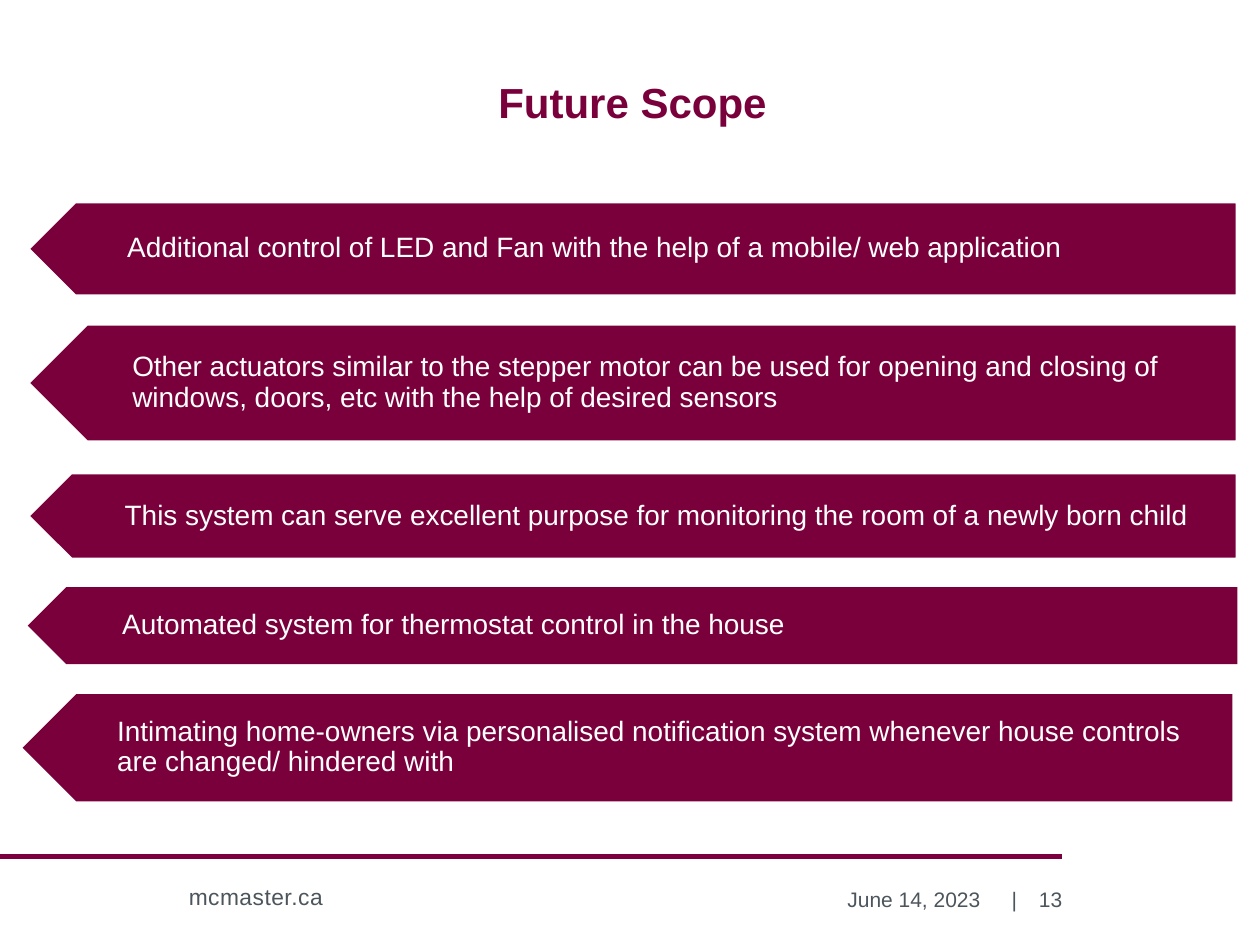
"""Build the Future Scope slide: five left-pointing banners above a footer."""
import pptx
import pptx.util
import pptx.dml.color
import pptx.enum.shapes
import pptx.enum.text
import lxml.etree
from dataclasses import dataclass

Inches, Pt = pptx.util.Inches, pptx.util.Pt
Align, Anchor = pptx.enum.text.PP_ALIGN, pptx.enum.text.MSO_ANCHOR
Kind = pptx.enum.shapes.MSO_SHAPE


@dataclass(frozen=True)
class Theme:
    font: str = "Arial"
    maroon: str = "79003B"
    rule: str = "7C0040"
    grey: str = "4C555C"
    white: str = "FFFFFF"
    title: int = 24
    body: int = 16
    site: int = 13
    foot: int = 12


theme = Theme()


def color(code):
    return pptx.dml.color.RGBColor.from_string(code)


def write(box, text, size, ink, align=Align.LEFT, anchor=Anchor.MIDDLE, pad=(0.1, 0.05, 0.1, 0.05)):
    shape = slide.shapes.add_textbox(*map(Inches, box))
    frame = shape.text_frame
    frame.word_wrap = True
    frame.vertical_anchor = anchor
    frame.margin_left, frame.margin_top, frame.margin_right, frame.margin_bottom = map(Inches, pad)
    para = frame.paragraphs[0]
    para.text = text
    para.alignment = align
    para.font.name = theme.font
    para.font.size = Pt(size)
    para.font.color.rgb = color(ink)
    return para


deck = pptx.Presentation()
deck.slide_width, deck.slide_height = Inches(10), Inches(7.5)
slide = deck.slides.add_slide(deck.slide_layouts[6])

rule = slide.shapes.add_connector(
    pptx.enum.shapes.MSO_CONNECTOR.STRAIGHT, Inches(0), Inches(6.8), Inches(8.43), Inches(6.8))
rule.line.color.rgb = color(theme.rule)
rule.line.width = Pt(3)
lxml.etree.SubElement(rule._element.spPr, pptx.oxml.ns.qn("a:effectLst"))

title = write((0.22, 0.29, 9.6, 0.72), "Future Scope", theme.title, theme.maroon,
              Align.CENTER, Anchor.BOTTOM, (0.1, 0.05, 0.1, 0))
title.line_spacing = 1.5
title.font.bold = True

banners = [
    (0.22, 1.6, 0.75, 0.19, True,
     "Additional control of LED and Fan with the help of a mobile/ web application"),
    (0.22, 2.57, 0.94, 0.23, True,
     "Other actuators similar to the stepper motor can be used for opening and closing of "
     "windows, doors, etc with the help of desired sensors"),
    (0.22, 3.75, 0.69, 0.17, True,
     "This system can serve excellent purpose for monitoring the room of a newly born child"),
    (0.22, 4.66, 0.61, 0.15, False,
     "Automated system for thermostat control in the house"),
    (0.18, 5.51, 0.85, 0.15, False,
     "Intimating home-owners via personalised notification system whenever house controls "
     "are changed/ hindered with"),
]
width = 9.6
for left, top, height, shift, edged, text in banners:
    arrow = slide.shapes.add_shape(
        Kind.PENTAGON, Inches(left), Inches(top), Inches(width), Inches(height))
    arrow.rotation = 180
    arrow.shadow.inherit = False
    arrow.fill.solid()
    arrow.fill.fore_color.rgb = color(theme.maroon)
    if edged:
        arrow.line.color.rgb = color(theme.white)
        arrow.line.width = Pt(2)
    else:
        arrow.line.fill.background()
    label = write((left + shift, top, width - shift, height), text, theme.body, theme.white,
                  pad=(0.6, 0.07, 0.12, 0.07))
    label.line_spacing = 0.9

site = write((1.4, 6.96, 2.74, 0.32), "mcmaster.ca", theme.site, theme.grey, anchor=Anchor.TOP)
site.runs[0].font._element.set("spc", "30")
write((5.74, 6.94, 2.14, 0.4), "June 14, 2023", theme.foot, theme.grey, Align.RIGHT)
write((7.92, 6.94, 0.25, 0.4), "|", theme.foot, theme.grey, Align.RIGHT)
write((7.91, 6.94, 0.52, 0.4), "13", theme.foot, theme.grey, Align.RIGHT, pad=(0.1, 0.05, 0, 0.05))

deck.save("out.pptx")
